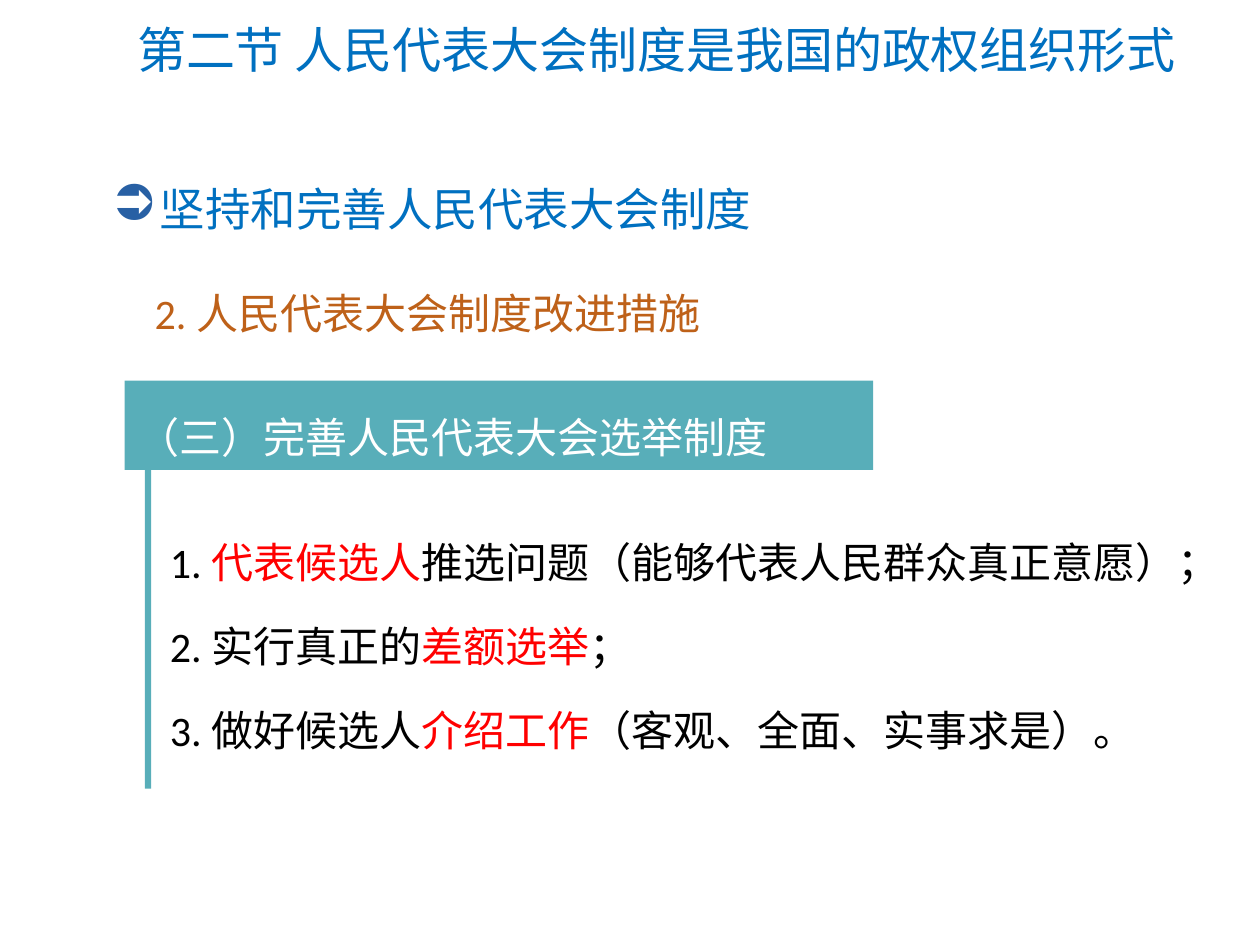
from pptx import Presentation
from pptx.dml.color import RGBColor as RGB
from pptx.enum.shapes import MSO_SHAPE as Shape
from pptx.enum.text import MSO_ANCHOR as Anchor, PP_ALIGN as Align
from pptx.oxml import parse_xml
from pptx.oxml.ns import nsdecls
from pptx.util import Inches, Pt

HUES = {
    "blue": "0070C0", "mark": "2860A4", "brown": "BE6119", "teal": "58AEB9",
    "red": "FF0000", "black": "000000", "white": "FFFFFF",
}


class Deck:
    face = "Calibri"

    def __init__(self):
        self.prs = Presentation()
        self.prs.slide_width, self.prs.slide_height = Inches(10), Inches(7.5)
        self.slide = self.prs.slides.add_slide(self.prs.slide_layouts[6])

    def hue(self, name):
        return RGB.from_string(HUES[name])

    def fill(self, frame, lines, size, color, ratio=None, bullet=None):
        """Each line is a list of (text, is_key) pairs; key parts are red."""
        frame.word_wrap = True
        for i, line in enumerate(lines):
            para = frame.paragraphs[0] if i == 0 else frame.add_paragraph()
            if bullet:
                self.bullet(para, bullet)
            para.alignment = Align.LEFT
            if ratio:
                para.line_spacing = ratio
            if i:
                para.space_before = Pt(size * 0.2)
            para.font.name, para.font.size = self.face, Pt(size)
            para.font.color.rgb = self.hue(color)
            for text, key in line:
                run = para.add_run()
                run.text = text
                if key:
                    run.font.color.rgb = self.hue("red")

    def bullet(self, para, char):
        props = para._p.get_or_add_pPr()
        indent = Inches(0.38)
        props.set("marL", str(indent))
        props.set("indent", str(-indent))
        ns = nsdecls("a")
        for xml in (
            f'<a:buClr {ns}><a:srgbClr val="{HUES["mark"]}"/></a:buClr>',
            f'<a:buSzPct {ns} val="110000"/>',
            f'<a:buChar {ns} char="{char}"/>',
        ):
            props.append(parse_xml(xml))

    def text(self, box, lines, size, color, anchor=Anchor.TOP, **style):
        frame = self.slide.shapes.add_textbox(*map(Inches, box)).text_frame
        frame.vertical_anchor = anchor
        self.fill(frame, lines, size, color, **style)

    def bar(self, box, color):
        shape = self.slide.shapes.add_shape(Shape.RECTANGLE, *map(Inches, box))
        shape.shadow.inherit = False
        shape.fill.solid()
        shape.fill.fore_color.rgb = self.hue(color)
        shape.line.fill.background()
        return shape


def main():
    deck = Deck()

    # Title and headings
    deck.text((0.99, 0.1, 8.72, 0.58),
              [[("第二节 人民代表大会制度是我国的政权组织形式", False)]],
              28, "blue", Anchor.MIDDLE)
    deck.text((0.79, 1.39, 8.34, 0.54),
              [[("坚持和完善人民代表大会制度", False)]], 26, "blue", bullet="➲")
    deck.text((1.13, 2.23, 8.34, 0.5),
              [[("2. 人民代表大会制度改进措施", False)]], 24, "brown")

    # Numbered measures
    deck.text((1.25, 4.01, 8.63, 2.08), [
        [("1. ", False), ("代表候选人", True),
         ("推选问题（能够代表人民群众真正意愿）；", False)],
        [("2. 实行真正的", False), ("差额选举", True), ("；", False)],
        [("3. 做好候选人", False), ("介绍工作", True),
         ("（客观、全面、实事求是）。", False)],
    ], 24, "black", ratio=1.5)

    # Banner with its side rule
    banner = deck.bar((0.99, 3.02, 5.94, 0.71), "teal")
    banner.text_frame.vertical_anchor = Anchor.TOP
    deck.fill(banner.text_frame, [[("（三）完善人民代表大会选举制度", False)]],
              24, "white", ratio=1.5)
    deck.bar((1.15, 3.44, 0.05, 2.82), "teal")

    deck.prs.save("out.pptx")


if __name__ == "__main__":
    main()
